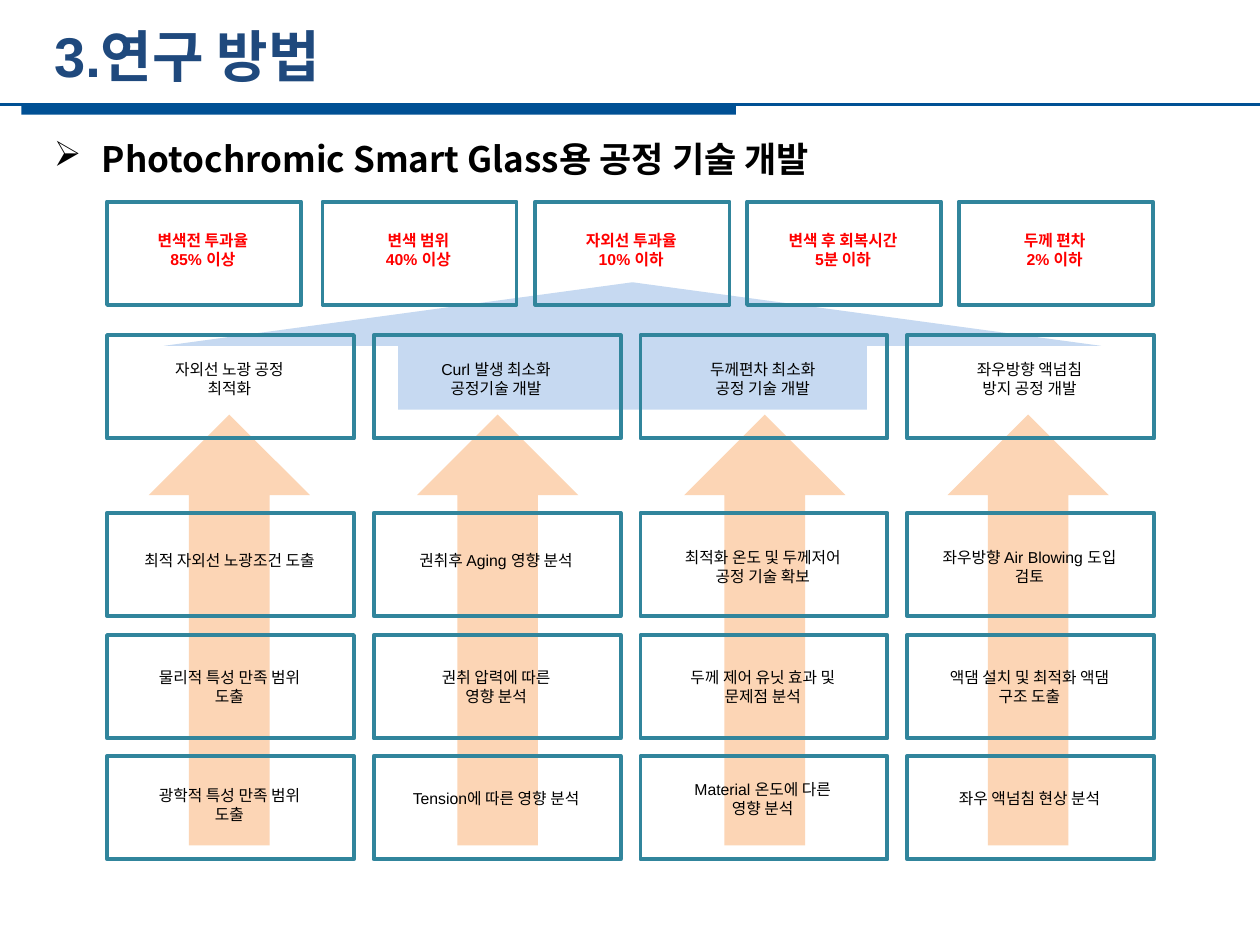
import dataclasses

import lxml.etree
import pptx
import pptx.dml.color
import pptx.enum.shapes
import pptx.enum.text
import pptx.oxml.ns
import pptx.util

Inches = pptx.util.Inches
Pt = pptx.util.Pt
SHAPE = pptx.enum.shapes.MSO_SHAPE
ALIGN = pptx.enum.text.PP_ALIGN
qn = pptx.oxml.ns.qn


@dataclasses.dataclass(frozen=True)
class Theme:
    latin: str = "Arial"
    korean: str = "Noto Sans CJK KR"
    title: str = "1F497D"
    bar: str = "005094"
    ink: str = "000000"
    target: str = "FF0000"
    frame: str = "31859C"
    goal_arrow: str = "C6D9F1"
    step_arrow: str = "FCD5B5"
    title_size: int = 32
    heading_size: int = 20
    label_size: int = 9
    frame_width: float = 2.25
    rule_width: float = 1.25


THEME = Theme()
BOX_HEIGHT = 0.82
TARGET_WIDTH = 1.54
STEP_WIDTH = 1.96
TARGET_LEFTS = [0.85, 2.56, 4.25, 5.93, 7.61]
STEP_LEFTS = [0.85 + i * 6.35 / 3 for i in range(4)]
ARROW_LEFTS = [1.18, 3.31, 5.43, 7.52]

TARGETS = [
    (1.16, 1.78, ["변색전 투과율", "85% 이상"]),
    (0.86, 1.78, ["변색 범위", "40% 이상"]),
    (1.16, 1.78, ["자외선 투과율", "10% 이하"]),
    (1.35, 1.78, ["변색 후 회복시간", "5분 이하"]),
    (0.86, 1.78, ["두께 편차", "2% 이하"]),
]
STEP_ROWS = [
    (2.66, [
        (1.35, 2.81, ["자외선 노광 공정", "최적화"]),
        (1.34, 2.81, ["Curl 발생 최소화", "공정기술 개발"]),
        (1.30, 2.81, ["두께편차 최소화", "공정 기술 개발"]),
        (1.30, 2.81, ["좌우방향 액넘침", "방지 공정 개발"]),
    ]),
    (4.07, [
        (1.98, 4.32, ["최적 자외선 노광조건 도출"]),
        (1.82, 4.32, ["권취후 Aging 영향 분석"]),
        (1.84, 4.30, ["최적화 온도 및 두께저어", "공정 기술 확보"]),
        (2.02, 4.30, ["좌우방향 Air Blowing 도입", "검토"]),
    ]),
    (5.04, [
        (1.69, 5.25, ["물리적 특성 만족 범위", "도출"]),
        (1.35, 5.25, ["권취 압력에 따른", "영향 분석"]),
        (1.74, 5.25, ["두께 제어 유닛 효과 및", "문제점 분석"]),
        (1.89, 5.25, ["액댐 설치 및 최적화 액댐", "구조 도출"]),
    ]),
    (6.00, [
        (1.69, 6.19, ["광학적 특성 만족 범위", "도출"]),
        (1.94, 6.21, ["Tension에 따른 영향 분석"]),
        (1.63, 6.14, ["Material 온도에 다른", "영향 분석"]),
        (1.69, 6.21, ["좌우 액넘침 현상 분석"]),
    ]),
]


def rgb(color):
    return pptx.dml.color.RGBColor.from_string(color)


def add_run(p, text, size, color, bold=False, font=THEME.latin):
    r = p.add_run()
    r.text = text
    r.font.size = Pt(size)
    r.font.bold = bold
    r.font.name = font
    r.font.color.rgb = rgb(color)
    ea = lxml.etree.SubElement(r.font._element, qn("a:ea"))
    ea.set("typeface", THEME.korean)


def add_block(s, kind, box, fill=None, line=None):
    sp = s.shapes.add_shape(kind, *map(Inches, box))
    sp.shadow.inherit = False
    if fill:
        sp.fill.solid()
        sp.fill.fore_color.rgb = rgb(fill)
    else:
        sp.fill.background()
    if line:
        sp.line.color.rgb = rgb(line)
        sp.line.width = Pt(THEME.frame_width)
    else:
        sp.line.fill.background()


def add_text_box(s, box):
    tf = s.shapes.add_textbox(*map(Inches, box)).text_frame
    tf.word_wrap = False
    tf.auto_size = pptx.enum.text.MSO_AUTO_SIZE.SHAPE_TO_FIT_TEXT
    return tf


def add_title(s, box):
    sp = s.shapes.title
    sp.left, sp.top, sp.width, sp.height = map(Inches, box)
    tf = sp.text_frame
    tf.auto_size = pptx.enum.text.MSO_AUTO_SIZE.NONE
    tf.vertical_anchor = pptx.enum.text.MSO_ANCHOR.MIDDLE
    p = tf.paragraphs[0]
    p.alignment = ALIGN.LEFT
    add_run(p, "3.연구 방법", THEME.title_size, THEME.title, True)


def add_title_rule(s, box):
    left, top, width, height = box
    add_block(s, SHAPE.RECTANGLE, (0.17, top, 5.67, height), fill=THEME.bar)
    rule = s.shapes.add_connector(
        pptx.enum.shapes.MSO_CONNECTOR.STRAIGHT,
        Inches(left), Inches(top), Inches(left + width), Inches(top))
    rule.line.color.rgb = rgb(THEME.bar)
    rule.line.width = Pt(THEME.rule_width)
    lxml.etree.SubElement(rule._element.spPr, qn("a:effectLst"))


def add_heading(s, box):
    p = add_text_box(s, box).paragraphs[0]
    pPr = p._p.get_or_add_pPr()
    pPr.set("marL", str(Inches(0.38)))
    pPr.set("indent", str(Inches(-0.38)))
    lxml.etree.SubElement(pPr, qn("a:buChar")).set("char", "➢")
    add_run(p, "Photochromic Smart Glass용 공정 기술 개발",
            THEME.heading_size, THEME.ink, True, THEME.korean)


def add_arrows(s):
    add_block(s, SHAPE.UP_ARROW, (1.3, 2.24, 7.44, 1.01), fill=THEME.goal_arrow)
    for left in ARROW_LEFTS:
        add_block(s, SHAPE.UP_ARROW, (left, 3.29, 1.28, 3.42), fill=THEME.step_arrow)


def add_framed_label(s, box, label, color, bold):
    add_block(s, SHAPE.RECTANGLE, box, line=THEME.frame)
    width, top, lines = label
    left = box[0] + (box[2] - width) / 2 - 0.01
    tf = add_text_box(s, (left, top, width, 0.11 + 0.18 * len(lines)))
    for i, text in enumerate(lines):
        p = tf.paragraphs[0] if i == 0 else tf.add_paragraph()
        p.alignment = ALIGN.CENTER
        add_run(p, text, THEME.label_size, color, bold)


def add_row(s, top, lefts, width, labels, color, bold=False):
    for left, label in zip(lefts, labels):
        add_framed_label(s, (left, top, width, BOX_HEIGHT), label, color, bold)


def main():
    prs = pptx.Presentation()
    prs.slide_width, prs.slide_height = Inches(10), Inches(7.5)
    s = prs.slides.add_slide(prs.slide_layouts[5])
    add_title_rule(s, (0, 0.83, 10, 0.08))
    add_title(s, (0.33, 0.12, 8.96, 0.64))
    add_heading(s, (0.33, 1.04, 6.38, 0.44))
    add_arrows(s)
    add_row(s, 1.6, TARGET_LEFTS, TARGET_WIDTH, TARGETS, THEME.target, True)
    for top, labels in STEP_ROWS:
        add_row(s, top, STEP_LEFTS, STEP_WIDTH, labels, THEME.ink)
    prs.save("out.pptx")


if __name__ == "__main__":
    main()
